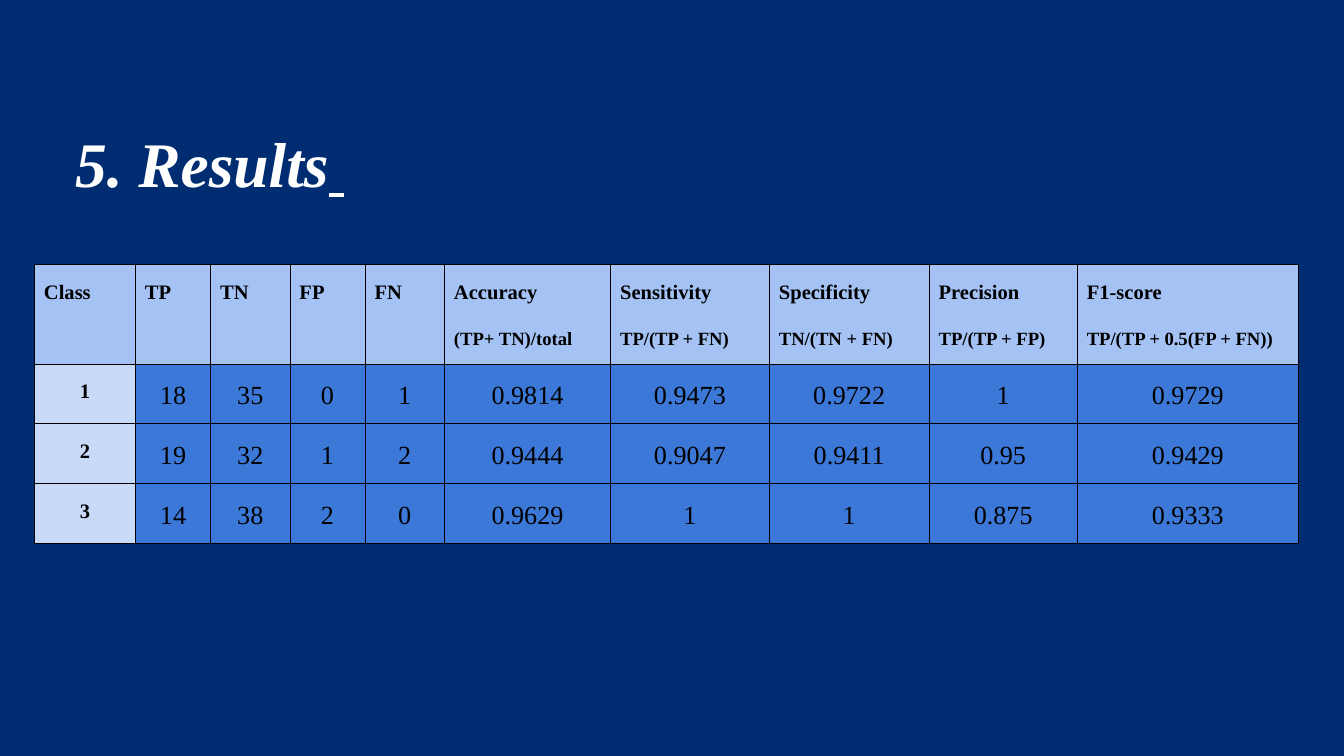
from lxml.etree import SubElement
from pptx import Presentation
from pptx.dml.color import RGBColor
from pptx.enum.text import MSO_ANCHOR as Anchor, MSO_AUTO_SIZE as AutoSize, PP_ALIGN as Align
from pptx.oxml.ns import qn
from pptx.util import Cm, Pt

FONT = "Times New Roman"
NAVY, WHITE, BLACK = "002D72", "FFFFFF", "000000"
HEADER_FILL, CLASS_FILL, VALUE_FILL = "A4C2F4", "C9DAF8", "3C78D8"

COLUMN_WIDTHS = [1.91, 1.42, 1.5, 1.42, 1.5, 3.14, 3, 3.02, 2.8, 4.18]
HEADER_HEIGHT, ROW_HEIGHT = 1.88, 1.13
HEADERS = [
    "Class", "TP", "TN", "FP", "FN",
    "Accuracy\n(TP+ TN)/total",
    "Sensitivity\nTP/(TP + FN)",
    "Specificity\nTN/(TN + FN)",
    "Precision\nTP/(TP + FP)",
    "F1-score\nTP/(TP + 0.5(FP + FN))",
]
RESULTS = [
    ["1", "18", "35", "0", "1", "0.9814", "0.9473", "0.9722", "1", "0.9729"],
    ["2", "19", "32", "1", "2", "0.9444", "0.9047", "0.9411", "0.95", "0.9429"],
    ["3", "14", "38", "2", "0", "0.9629", "1", "1", "0.875", "0.9333"],
]


def color(hex_value):
    return RGBColor.from_string(hex_value)


def format_font(font, size, hex_value, bold=False, italic=False):
    font.name = FONT
    font.size = Pt(size)
    font.bold = bold
    font.italic = italic
    font.color.rgb = color(hex_value)


def set_background(slide, hex_value):
    fill = slide.background.fill
    fill.solid()
    fill.fore_color.rgb = color(hex_value)


def add_title(slide, text):
    """Fill the title placeholder and end it with an underlined space."""
    title = slide.shapes.title
    title.left, title.top, title.width, title.height = Cm(1.17), Cm(1.93), Cm(11), Cm(1.73)
    frame = title.text_frame
    frame.word_wrap = True
    frame.auto_size = AutoSize.NONE
    frame.vertical_anchor = Anchor.TOP
    frame.margin_left = frame.margin_right = Cm(0.25)
    frame.margin_top = frame.margin_bottom = Cm(0.25)
    frame.text = text
    paragraph = frame.paragraphs[0]
    paragraph.alignment = Align.LEFT
    paragraph.line_spacing = 1.12
    underlined_space = paragraph.add_run()
    underlined_space.text = " "
    for run in paragraph.runs:
        format_font(run.font, 34, WHITE, bold=True, italic=True)
    underlined_space.font.underline = True


def add_borders(cell, hex_value, width):
    properties = cell._tc.get_or_add_tcPr()
    for position, side in enumerate(("a:lnL", "a:lnR", "a:lnT", "a:lnB")):
        line = SubElement(properties, qn(side), w=str(Pt(width)))
        fill = SubElement(line, qn("a:solidFill"))
        SubElement(fill, qn("a:srgbClr"), val=hex_value)
        properties.insert(position, line)


def fill_cell(cell, text, fill, sizes, bold, alignment):
    """Write one paragraph per line of text, each with its own font size."""
    cell.fill.solid()
    cell.fill.fore_color.rgb = color(fill)
    cell.margin_left = cell.margin_right = Cm(0.18)
    cell.margin_top = cell.margin_bottom = Cm(0.25)
    cell.vertical_anchor = Anchor.TOP
    cell.text_frame.text = text
    for paragraph, size in zip(cell.text_frame.paragraphs, sizes):
        paragraph.alignment = alignment
        paragraph.line_spacing = 1.15
        paragraph.space_before = Pt(12)
        format_font(paragraph.runs[0].font, size, BLACK, bold)
    add_borders(cell, BLACK, 0.55)


def add_results_table(slide):
    row_heights = [HEADER_HEIGHT] + [ROW_HEIGHT] * len(RESULTS)
    frame = slide.shapes.add_table(
        len(row_heights), len(HEADERS), Cm(0.65), Cm(5),
        Cm(sum(COLUMN_WIDTHS)), Cm(sum(row_heights)))
    table = frame.table
    table.first_row = table.horz_banding = False
    for column, width in zip(table.columns, COLUMN_WIDTHS):
        column.width = Cm(width)
    for row, height in zip(table.rows, row_heights):
        row.height = Cm(height)
    for column, text in enumerate(HEADERS):
        fill_cell(table.cell(0, column), text, HEADER_FILL, (11, 10), True, Align.LEFT)
    for row, (class_name, *values) in enumerate(RESULTS, 1):
        fill_cell(table.cell(row, 0), class_name, CLASS_FILL, (11,), True, Align.CENTER)
        for column, value in enumerate(values, 1):
            fill_cell(table.cell(row, column), value, VALUE_FILL, (14,), False, Align.CENTER)


def main():
    presentation = Presentation()
    presentation.slide_width, presentation.slide_height = Cm(25.4), Cm(14.29)
    title_only = presentation.slide_layouts[5]
    slide = presentation.slides.add_slide(title_only)
    set_background(slide, NAVY)
    add_title(slide, "5. Results")
    add_results_table(slide)
    presentation.save("out.pptx")


if __name__ == "__main__":
    main()
